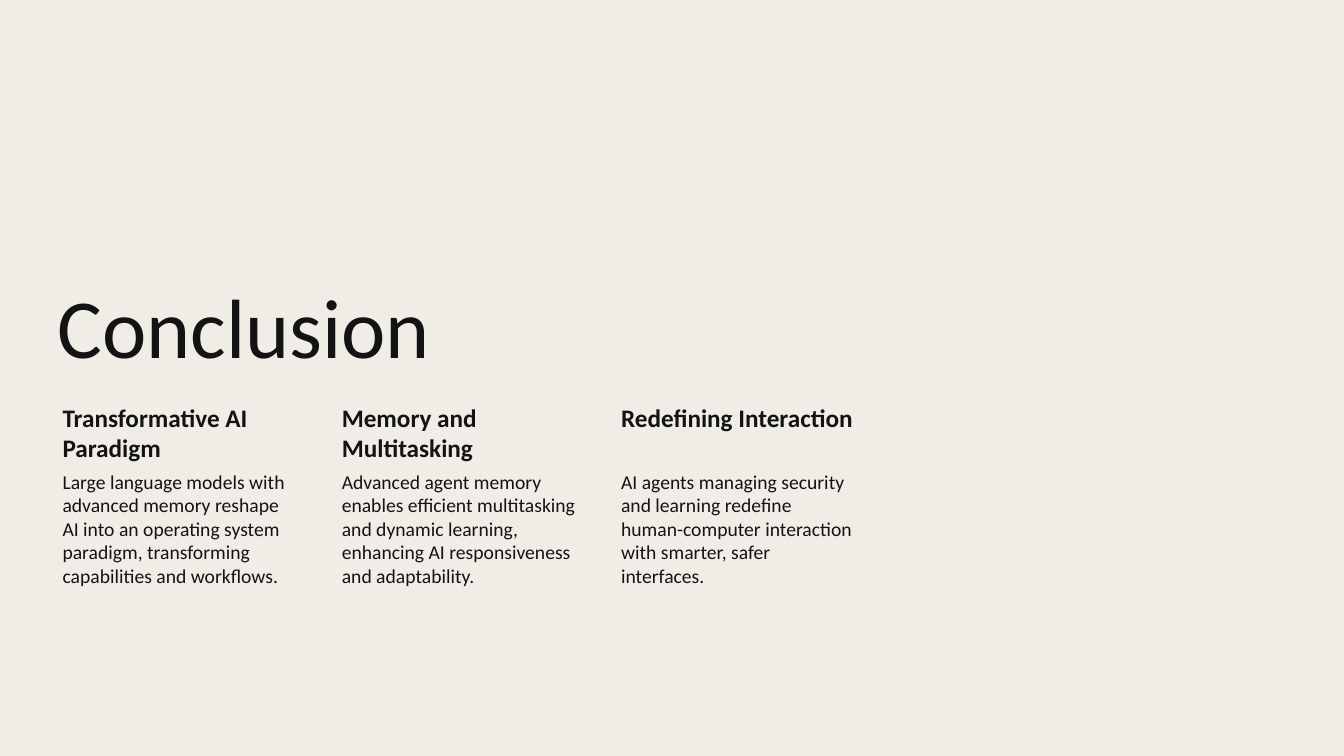
from dataclasses import dataclass

from pptx import Presentation
from pptx.dml.color import RGBColor
from pptx.enum.text import MSO_ANCHOR, MSO_AUTO_SIZE, PP_ALIGN
from pptx.shapes.group import GroupShape
from pptx.slide import Slide
from pptx.text.text import TextFrame
from pptx.util import Inches, Pt

TOP, BOTTOM = MSO_ANCHOR.TOP, MSO_ANCHOR.BOTTOM
LEFT = PP_ALIGN.LEFT
NO_AUTOFIT = MSO_AUTO_SIZE.NONE

COLORS = {"background": "F0EDE6", "text": "131313"}
FONT = "Calibri"

# Column grid, in inches
GRID_LEFT = 0.47
COLUMN_WIDTH = 2.52
COLUMN_PITCH = 2.77
TITLE_TOP, TITLE_HEIGHT = 1.78, 2.01
TEXT_INDENT = 0.15


@dataclass(frozen=True)
class Row:
    top: float
    height: float
    inset: float
    size: int
    bold: bool


@dataclass(frozen=True)
class Takeaway:
    heading: str
    summary: str


HEADING_ROW = Row(top=3.96, height=0.68, inset=0.03, size=18, bold=True)
SUMMARY_ROW = Row(top=4.64, height=1.76, inset=0.02, size=14, bold=False)

TAKEAWAYS = [
    Takeaway(
        "Transformative AI Paradigm",
        "Large language models with advanced memory reshape AI into an operating "
        "system paradigm, transforming capabilities and workflows.",
    ),
    Takeaway(
        "Memory and Multitasking",
        "Advanced agent memory enables efficient multitasking and dynamic learning, "
        "enhancing AI responsiveness and adaptability.",
    ),
    Takeaway(
        "Redefining Interaction",
        "AI agents managing security and learning redefine human-computer "
        "interaction with smarter, safer interfaces.",
    ),
]


def write(frame: TextFrame, text: str, size: int, bold: bool, spacing: float) -> None:
    frame.word_wrap = True
    frame.auto_size = NO_AUTOFIT
    paragraph = frame.paragraphs[0]
    paragraph.alignment = LEFT
    paragraph.line_spacing = spacing
    run = paragraph.add_run()
    run.text = text
    run.font.name = FONT
    run.font.size = Pt(size)
    run.font.bold = bold
    run.font.color.rgb = RGBColor.from_string(COLORS["text"])


def draw_title(slide: Slide, text: str) -> None:
    title = slide.shapes.title
    title.left, title.top = Inches(GRID_LEFT), Inches(TITLE_TOP)
    title.width = Inches((len(TAKEAWAYS) - 1) * COLUMN_PITCH + COLUMN_WIDTH)
    title.height = Inches(TITLE_HEIGHT)
    title.text_frame.vertical_anchor = BOTTOM
    write(title.text_frame, text, size=60, bold=False, spacing=0.9)


def draw_cell(group: GroupShape, column: int, row: Row, text: str) -> None:
    cell = group.shapes.add_textbox(
        Inches(GRID_LEFT + column * COLUMN_PITCH),
        Inches(row.top),
        Inches(COLUMN_WIDTH),
        Inches(row.height),
    )
    frame = cell.text_frame
    frame.vertical_anchor = TOP
    frame.margin_left = Inches(TEXT_INDENT)
    frame.margin_top = frame.margin_right = frame.margin_bottom = Inches(row.inset)
    write(frame, text, row.size, row.bold, spacing=1.0)


def main() -> None:
    deck = Presentation()
    deck.slide_width, deck.slide_height = Inches(13.33), Inches(7.5)
    title_only = deck.slide_layouts[5]
    slide = deck.slides.add_slide(title_only)

    # Background
    fill = slide.background.fill
    fill.solid()
    fill.fore_color.rgb = RGBColor.from_string(COLORS["background"])

    # Title
    draw_title(slide, "Conclusion")

    # Takeaway columns
    takeaway_group = slide.shapes.add_group_shape()
    for column, takeaway in enumerate(TAKEAWAYS):
        draw_cell(takeaway_group, column, HEADING_ROW, takeaway.heading)
        draw_cell(takeaway_group, column, SUMMARY_ROW, takeaway.summary)

    deck.save("out.pptx")


if __name__ == "__main__":
    main()
